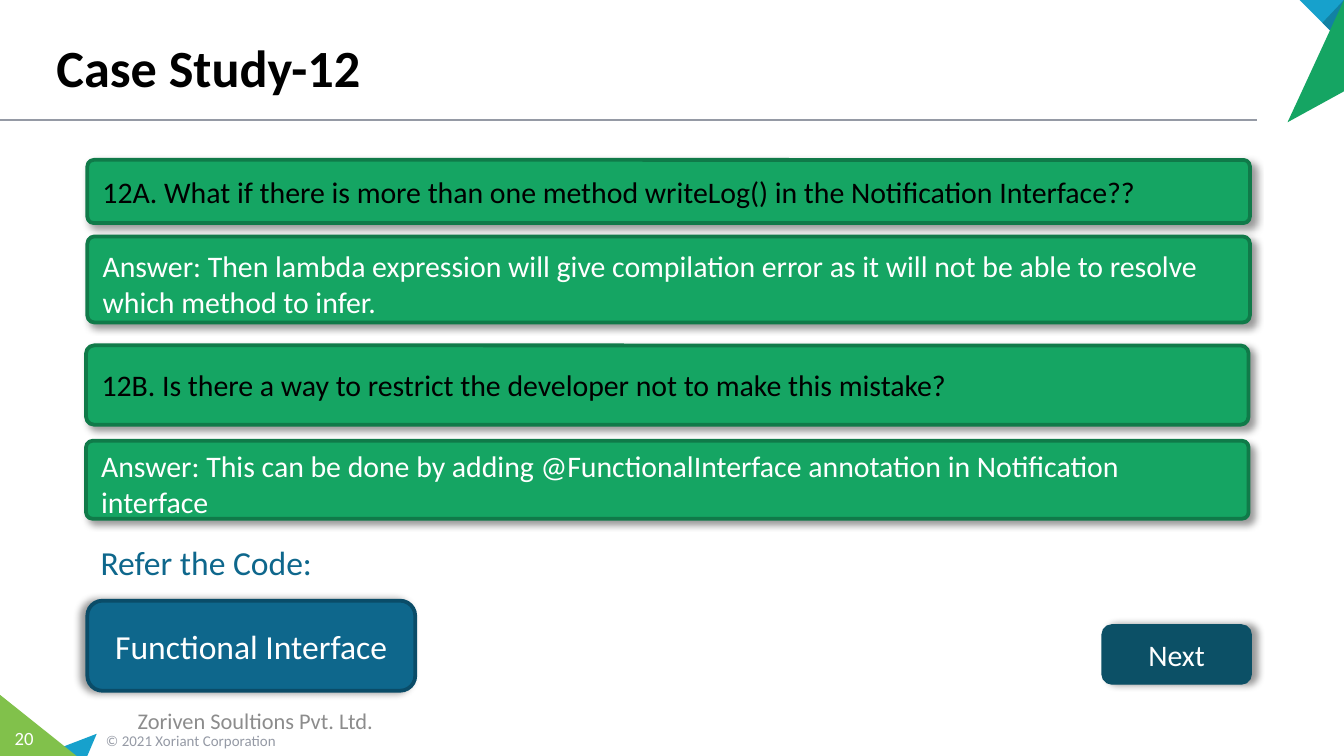
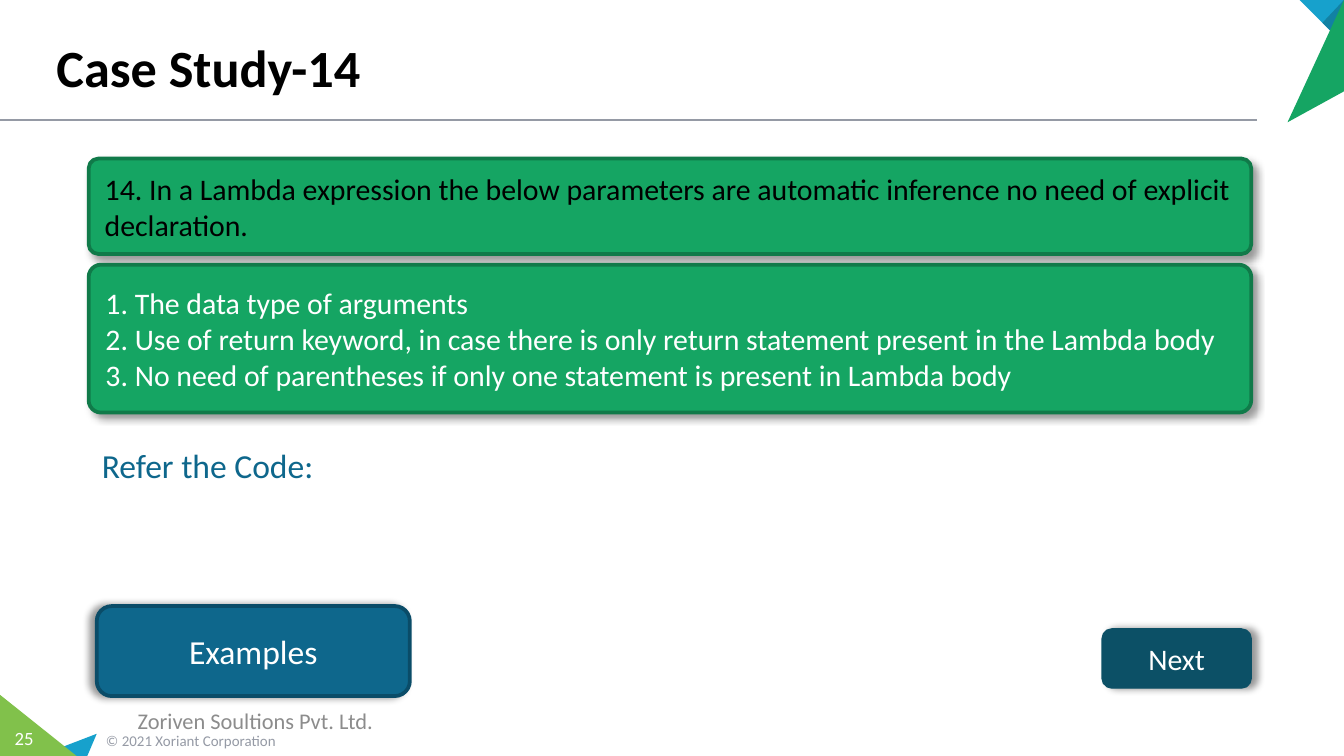
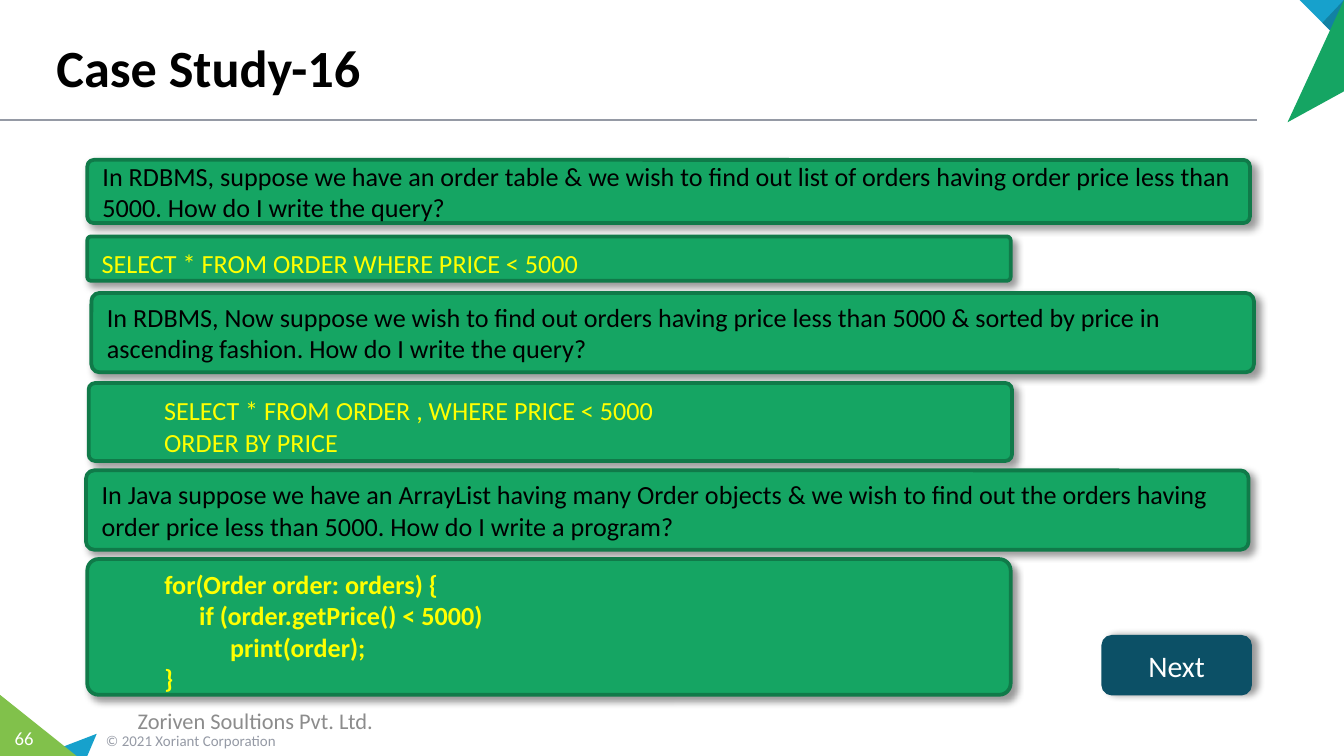
from dataclasses import dataclass

from lxml import etree
from pptx import Presentation
from pptx.dml.color import RGBColor
from pptx.enum import shapes, text
from pptx.oxml.ns import qn
from pptx.util import Inches, Pt

WIDTH, HEIGHT = Inches(10), Inches(5.625)
COLUMNS, ROWS = 100, 56.25
FONT = "Calibri"
BLACK, WHITE, YELLOW = "000000", "FFFFFF", "FFFF00"
GREEN, DARK_GREEN, LIME = "15A563", "107A49", "81C14B"
SKY, DEEP_SKY = "17A1CC", "1281A3"
BLUE, DARK_BLUE, PETROL = "0E678C", "0A4C68", "0C5066"
RULE_GREY, FOOTER_GREY = "959AA5", "8C8C8C"
INDENTS = (0, 4.5, 7.1, 9.4)
LEFT, CENTER = text.PP_ALIGN.LEFT, text.PP_ALIGN.CENTER
TOP, MIDDLE = text.MSO_ANCHOR.TOP, text.MSO_ANCHOR.MIDDLE


def across(columns):
    """Return the length of a number of grid columns."""
    return round(WIDTH * columns / COLUMNS)


def down(rows):
    """Return the length of a number of grid rows."""
    return round(HEIGHT * rows / ROWS)


@dataclass
class Box:
    """A region of the slide, in grid columns and rows."""

    left: float
    top: float
    width: float
    height: float

    def inside(self, left, top, width, height):
        """Return a region placed relative to this one."""
        return Box(self.left + left, self.top + top, width, height)

    def lengths(self):
        """Return left, top, width and height as lengths."""
        return across(self.left), down(self.top), across(self.width), down(self.height)


@dataclass
class CardStyle:
    """The look of one kind of text card."""

    color: str
    size: float
    corner: float
    bold: bool = False
    drop: bool = False


TITLE = Box(3.2, 0.6, 90, 7.2)
CORNER = Box(95.8, 0, 4.2, 9.1)
FOOTER = Box(0, 51.7, 38, 4.55)
CONTENT = Box(6.5, 11.9, 86.5, 40)

QUESTION = CardStyle(BLACK, 16, 0.102)
ANSWER = CardStyle(WHITE, 16, 0.083, drop=True)
ANSWER_LIST = CardStyle(WHITE, 16, 0.083)
LONG_QUESTION = CardStyle(BLACK, 14, 0.102)
QUERY = CardStyle(YELLOW, 14, 0.083, drop=True)
CODE = CardStyle(YELLOW, 14, 0.083, bold=True, drop=True)


def rgb(color):
    """Turn a hex string into a colour."""
    return RGBColor.from_string(color)


def write(shape, lines, size, color, align=LEFT, anchor=MIDDLE, bold=False):
    """Fill a shape with lines of text, each a string or a (level, string) pair."""
    frame = shape.text_frame
    frame.word_wrap = True
    frame.auto_size = text.MSO_AUTO_SIZE.NONE
    frame.vertical_anchor = anchor
    pairs = [line if isinstance(line, tuple) else (0, line) for line in lines]
    frame.text = "\n".join(words for _, words in pairs)
    for paragraph, (level, _) in zip(frame.paragraphs, pairs):
        paragraph.alignment = align
        if level:
            paragraph.level = level
            properties = paragraph._p.get_or_add_pPr()
            properties.set("marL", str(across(INDENTS[level])))
            properties.set("indent", "0")
        for run in paragraph.runs:
            run.font.name = FONT
            run.font.size = Pt(size)
            run.font.bold = bold
            run.font.color.rgb = rgb(color)
    return frame


def add_label(slide, box, words, size, color, align=LEFT, anchor=MIDDLE):
    """Add a plain line of text."""
    label = slide.shapes.add_textbox(*box.lengths())
    return write(label, [words], size, color, align, anchor)


def add_polygon(slide, box, points, color):
    """Add a filled outline whose points are relative to a box."""
    start, *others = [(across(box.left + x), down(box.top + y)) for x, y in points]
    builder = slide.shapes.build_freeform(*start)
    builder.add_line_segments(others, close=True)
    polygon = builder.convert_to_shape()
    polygon.shadow.inherit = False
    polygon.fill.solid()
    polygon.fill.fore_color.rgb = rgb(color)
    polygon.line.fill.background()


def cast_shadow(shape, angle):
    """Give a shape a soft shadow in one direction."""
    shape.shadow.inherit = False
    effects = shape.element.spPr.find(qn("a:effectLst"))
    shadow = etree.SubElement(
        effects, qn("a:outerShdw"), blurRad=str(Pt(4)), dist=str(Pt(3)),
        dir=str(angle * 60000), algn="ctr", rotWithShape="0")
    color = etree.SubElement(shadow, qn("a:srgbClr"), val=BLACK)
    etree.SubElement(color, qn("a:alpha"), val="40000")


def add_panel(slide, box, fill, line, weight, angle, corner=0.167):
    """Add a rounded panel with a shadow."""
    panel = slide.shapes.add_shape(
        shapes.MSO_SHAPE.ROUNDED_RECTANGLE, *box.lengths())
    panel.adjustments[0] = corner
    panel.fill.solid()
    panel.fill.fore_color.rgb = rgb(fill)
    panel.line.color.rgb = rgb(line)
    panel.line.width = Pt(weight)
    cast_shadow(panel, angle)
    return panel


def add_card(slide, box, style, lines):
    """Add a green question or answer card."""
    card = add_panel(slide, box, GREEN, DARK_GREEN, 2, 45, style.corner)
    frame = write(card, lines, style.size, style.color, bold=style.bold)
    if style.drop:
        frame.margin_top, frame.margin_bottom = down(0.6), 0


def add_next(slide, box, top):
    """Add the button that leads on."""
    button = add_panel(slide, box.inside(75.5, top, 11.1, 4.4), PETROL, PETROL, 0.75, 0)
    write(button, ["Next"], 16, WHITE, CENTER)


def add_code_reference(slide, box, place, caption):
    """Add the code heading at the top of a box and its button below."""
    add_label(slide, box, "Refer the Code:", 18, BLUE, anchor=TOP)
    button = add_panel(slide, box.inside(*place), BLUE, DARK_BLUE, 2, 180)
    write(button, [caption], 18, WHITE, CENTER)


def add_title(slide, box, words):
    """Fill the title placeholder and draw the rule under it."""
    title = slide.shapes.title
    title.left, title.top, title.width, title.height = box.lengths()
    write(title, [words], 28, BLACK, anchor=text.MSO_ANCHOR.BOTTOM, bold=True)
    rule_top = down(box.top + 8.3)
    rule = slide.shapes.add_connector(
        shapes.MSO_CONNECTOR.STRAIGHT, 0, rule_top, across(93.5), rule_top)
    rule.line.color.rgb = rgb(RULE_GREY)
    rule.line.width = Pt(1)
    etree.SubElement(rule.element.spPr, qn("a:effectLst"))


def add_corner(slide, box):
    """Draw the folded ribbon in the top right corner."""
    right = box.width
    add_polygon(slide, box, [(0.9, 0), (right, 0), (right, 3.3)], SKY)
    add_polygon(slide, box, [(2.6, 1.7), (right, 0), (right, 3.3)], DEEP_SKY)
    add_polygon(slide, box, [(0, box.height), (right, 0), (right, 6.8)], GREEN)


def add_footer(slide, box, number):
    """Draw the footer triangles, owner lines and page number."""
    bottom = box.height
    add_polygon(slide, box, [(7.2, 2.9), (6.5, bottom), (2.9, bottom)], SKY)
    add_polygon(slide, box, [(0, 0), (5.7, bottom), (0, bottom)], LIME)
    add_label(slide, box.inside(6.9, 2.2, 23.3, 2.4),
              "© 2021 Xoriant Corporation", 8, RULE_GREY)
    page = add_label(slide, box.inside(0, 1.9, 3.6, 2.7), str(number), 10, WHITE,
                     CENTER, TOP)
    page.margin_left = page.margin_right = 0
    add_label(slide, box.inside(0, 0.4, box.width, 3),
              "Zoriven Soultions Pvt. Ltd.", 12, FOOTER_GREY, CENTER)


def add_case_study(presentation, study, number, cards, next_top):
    """Add a case study slide with its cards and next button."""
    slide = presentation.slides.add_slide(presentation.slide_layouts[5])
    add_title(slide, TITLE, f"Case Study-{study}")
    add_corner(slide, CORNER)
    add_footer(slide, FOOTER, number)
    for place, style, lines in cards:
        add_card(slide, CONTENT.inside(*place), style, lines)
    add_next(slide, CONTENT, next_top)
    return slide


def main():
    """Build the presentation."""
    presentation = Presentation()
    presentation.slide_width, presentation.slide_height = WIDTH, HEIGHT
    full, short = CONTENT.width, 68.7

    slide = add_case_study(presentation, 12, 20, [
        ((0, 0, full, 4.7), QUESTION,
         ["12A. What if there is more than one method writeLog() in the "
          "Notification Interface??"]),
        ((0, 5.7, full, 6.4), ANSWER,
         ["Answer: Then lambda expression will give compilation error as it will "
          "not be able to resolve which method to infer."]),
        ((-0.1, 13.8, full, 5.9), QUESTION,
         ["12B. Is there a way to restrict the developer not to make this mistake?"]),
        ((-0.1, 20.9, full, 5.8), ANSWER,
         ["Answer: This can be done by adding @FunctionalInterface annotation in "
          "Notification interface"]),
    ], 34.6)
    add_code_reference(slide, CONTENT.inside(0, 27.9, 50, 4),
                       (0, 4.9, 24.4, 6.7), "Functional Interface")

    slide = add_case_study(presentation, 14, 25, [
        ((0.1, -0.1, full, 7.1), QUESTION,
         ["14. In a Lambda expression the below parameters are automatic inference "
          "no need of explicit declaration."]),
        ((0.1, 7.8, full, 11), ANSWER_LIST,
         ["1. The data type of arguments",
          "2. Use of return keyword, in case there is only return statement present "
          "in the Lambda body",
          "3. No need of parentheses if only one statement is present in Lambda body"]),
    ], 34.9)
    add_code_reference(slide, CONTENT.inside(0.1, 20.7, 50, 4),
                       (0.6, 12.5, 23.3, 6.7), "Examples")

    add_case_study(presentation, 16, 66, [
        ((0, 0, full, 4.7), LONG_QUESTION,
         ["In RDBMS, suppose we have an order table & we wish to find out list of "
          "orders having order price less than 5000. How do I write the query?"]),
        ((0, 5.7, short, 3.3), QUERY, ["SELECT * FROM ORDER WHERE PRICE < 5000"]),
        ((0.3, 9.9, full, 5.9), LONG_QUESTION,
         ["In RDBMS, Now suppose we wish to find out orders having price less than "
          "5000 & sorted by price in ascending fashion. How do I write the query?"]),
        ((0.1, 16.6, short, 5.8), QUERY,
         [(1, "SELECT * FROM ORDER , WHERE PRICE < 5000"), (1, "ORDER BY PRICE")]),
        ((-0.1, 23.1, full, 5.9), LONG_QUESTION,
         ["In Java suppose we have an ArrayList having many Order objects & we wish "
          "to find out the orders having order price less than 5000. How do I write "
          "a program?"]),
        ((0, 29.7, short, 10.1), CODE,
         [(1, "for(Order order: orders) {"), (2, "if (order.getPrice() < 5000)"),
          (3, "print(order);"), (1, "}")]),
    ], 35.4)

    presentation.save("out.pptx")


if __name__ == "__main__":
    main()
